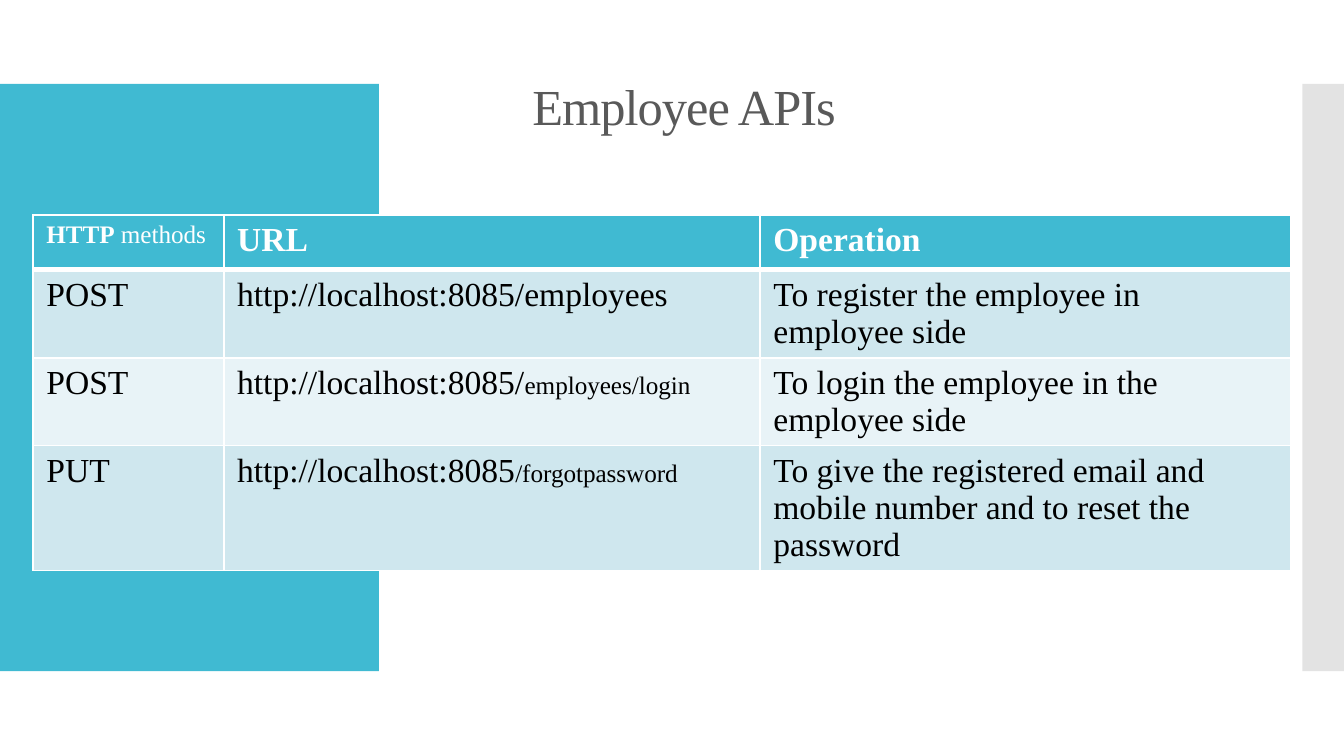
from dataclasses import dataclass

from lxml import etree
from pptx import Presentation
from pptx.dml.color import RGBColor
from pptx.enum.shapes import MSO_SHAPE
from pptx.enum.text import MSO_ANCHOR, PP_ALIGN
from pptx.oxml.ns import qn
from pptx.util import Inches, Pt

RECT = MSO_SHAPE.RECTANGLE
BOTTOM = MSO_ANCHOR.BOTTOM
CENTER = PP_ALIGN.CENTER


@dataclass
class Theme:
    font: str = "Times New Roman"
    accent: str = "40BAD2"
    side: str = "C8C8C8"
    title: str = "595959"
    text: str = "000000"
    light: str = "FFFFFF"
    bands: tuple = ("CFE7EE", "E8F3F7")
    title_size: float = 27
    body_size: float = 18
    small_size: float = 13.5


theme = Theme()
prs = Presentation()
prs.slide_width = Inches(10)
prs.slide_height = prs.slide_width * 9 // 16
col, row = prs.slide_width / 100, prs.slide_height / 100
s = prs.slides.add_slide(prs.slide_layouts[5])


def place(left, top, width, height):
    return int(left * col), int(top * row), int(width * col), int(height * row)


def add_run(p, text, size, color, bold=False):
    r = p.add_run()
    r.text = text
    r.font.name = theme.font
    r.font.size = Pt(size)
    r.font.bold = bold
    r.font.color.rgb = RGBColor.from_string(color)
    return r


for left, width, color, alpha in [(0, 28.2, theme.accent, 100), (96.9, 3.1, theme.side, 50)]:
    sp = s.shapes.add_shape(RECT, *place(left, 11.1, width, 77.7))
    sp.shadow.inherit = False
    sp.fill.solid()
    sp.fill.fore_color.rgb = RGBColor.from_string(color)
    sp.line.fill.background()
    if alpha < 100:
        clr = sp._element.spPr.find(qn("a:solidFill"))[0]
        etree.SubElement(clr, qn("a:alpha"), val=str(alpha * 1000))

title = s.shapes.title
s.shapes._spTree.append(title._element)
title.left, title.top, title.width, title.height = place(6.6, 8.2, 88.6, 11.2)
tf = title.text_frame
tf.word_wrap = True
tf.vertical_anchor = BOTTOM
tf.margin_left = tf.margin_right = tf.margin_top = Inches(0.1)
tf.margin_bottom = Inches(0.08)
p = tf.paragraphs[0]
p.alignment = CENTER
r = add_run(p, "Employee APIs", theme.title_size, theme.title)
r.font._element.set("spc", "-50")

big, small = theme.body_size, theme.small_size
rows = [
    [[("HTTP", small, True), (" methods", small, False)], [("URL", big, True)], [("Operation", big, True)]],
    [[("POST", big)], [("http://localhost:8085/employees", big)],
     [("To register the employee in employee side", big)]],
    [[("POST", big)], [("http://localhost:8085/", big), ("employees/login", small)],
     [("To login the employee in the employee side", big)]],
    [[("PUT", big)], [("http://localhost:8085", big), ("/forgotpassword", small)],
     [("To give the registered email and mobile number and to reset the password", big)]],
]
widths = [14.2, 39.9, 39.5]
row_height = 7.3

table = s.shapes.add_table(
    len(rows), len(widths), *place(2.45, 28.4, sum(widths), row_height * len(rows))).table
for i, width in enumerate(widths):
    table.columns[i].width = int(width * col)

for i, cells in enumerate(rows):
    table.rows[i].height = int(row_height * row)
    fill = theme.bands[(i - 1) % 2] if i else theme.accent
    color = theme.text if i else theme.light
    for j, runs in enumerate(cells):
        cell = table.cell(i, j)
        p = cell.text_frame.paragraphs[0]
        for run in runs:
            add_run(p, run[0], run[1], color, *run[2:])
        tcPr = cell._tc.get_or_add_tcPr()
        for side in ("lnL", "lnR", "lnT", "lnB"):
            heavy = (i, side) in [(0, "lnB"), (1, "lnT")]
            ln = etree.SubElement(tcPr, qn("a:" + side), w=str(Pt(3 if heavy else 1)))
            line_fill = etree.SubElement(ln, qn("a:solidFill"))
            etree.SubElement(line_fill, qn("a:srgbClr"), val=theme.light)
        cell.fill.solid()
        cell.fill.fore_color.rgb = RGBColor.from_string(fill)

prs.save("out.pptx")
